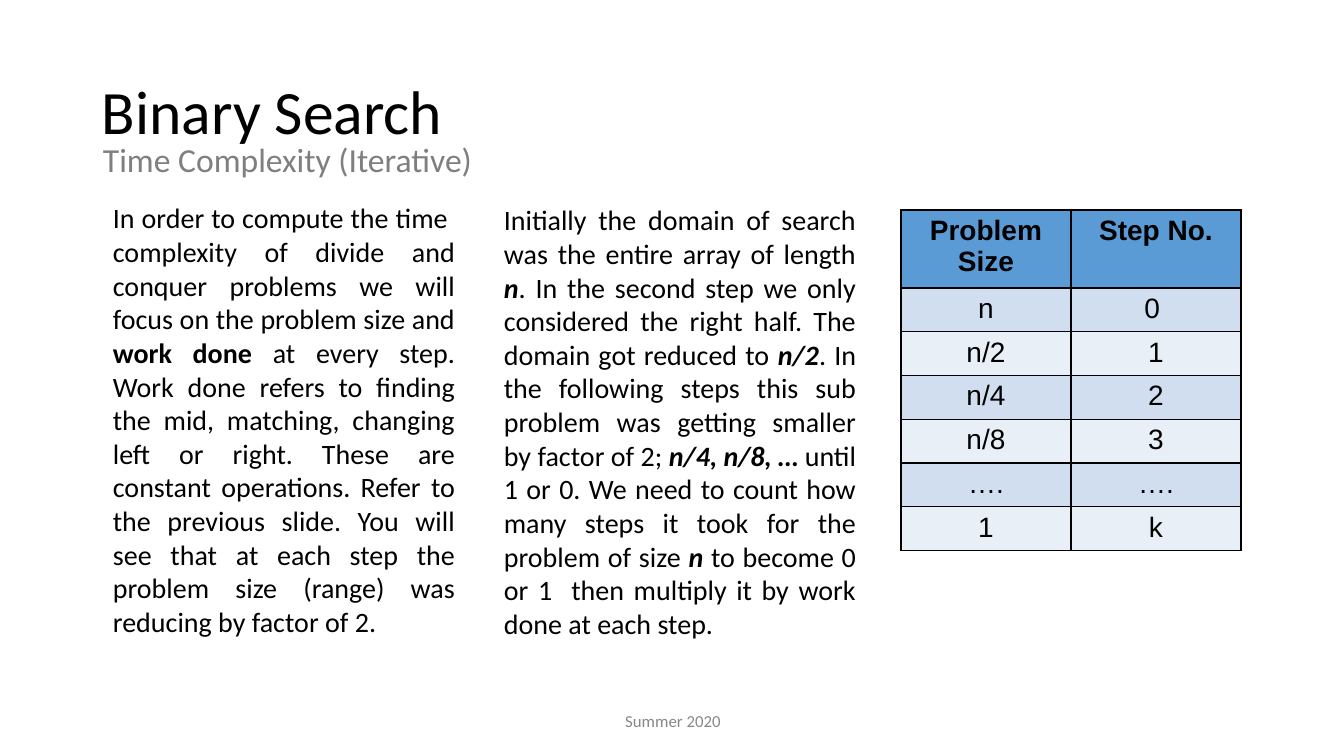
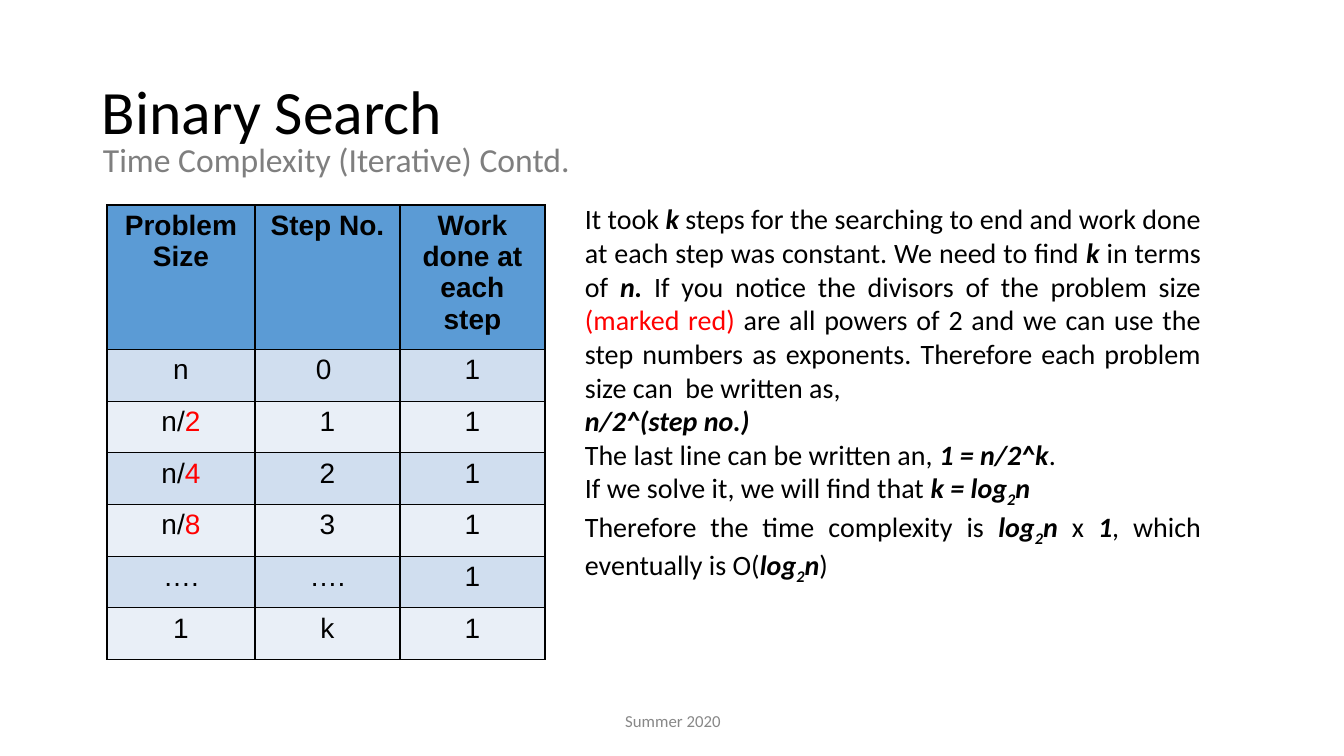
"""Build two slides on the time complexity of iterative binary search."""
from dataclasses import dataclass

from lxml import etree
from pptx import Presentation
from pptx import util as u
from pptx.dml.color import RGBColor
from pptx.enum import text
from pptx.oxml import ns


@dataclass(frozen=True)
class Theme:
    body_font: str = "Calibri"
    table_font: str = "Arial"
    ink: str = "000000"
    subtitle: str = "7F7F7F"
    footer: str = "888888"
    red: str = "FF0000"
    header: str = "5B9BD5"
    bands: tuple = ("D0DEEF", "E9EFF7")
    title_size: int = 44
    subtitle_size: int = 24
    body_size: int = 20
    footer_size: int = 12
    border: int = 1


T = Theme()
W, H = 1344, 756
PX = 914400 / 100.8

STYLES = {
    "bold": {"bold": True},
    "term": {"bold": True, "italic": True},
    "sub": {"bold": True, "italic": True, "baseline": -25000},
    "red": {"color": T.red},
}

TITLE = "Binary Search"
FOOTER = "Summer 2020"
LOG_N = [("log", "term"), ("2", "sub"), ("n", "term")]

WORK_DONE = [[
    "In order to compute the time  complexity of divide and conquer problems we will focus on "
    "the problem size and ",
    ("work done ", "bold"),
    "at every step. Work done refers to finding the mid, matching, changing left or right. "
    "These are constant operations. Refer to the previous slide. You will see that at each step "
    "the problem size (range) was reducing by factor of 2. ",
]]

DOMAIN = [[
    "Initially the domain of search was the entire array of length ",
    ("n", "term"),
    ". In the second step we only considered the right half. The domain got reduced to ",
    ("n/2", "term"),
    ". In the following steps this sub problem was getting smaller by factor of 2; ",
    ("n/4, n/8, … ", "term"),
    "until 1 or 0. We need to count how many steps it took for the problem of size ",
    ("n", "term"),
    " to become 0 or 1  then multiply it by work done at each step.",
]]

SOLUTION = [
    [
        "It took ", ("k", "term"),
        " steps for the searching to end and work done at each step was constant. "
        "We need to find ",
        ("k", "term"), " in terms of ", ("n. ", "term"),
        "If you notice the divisors of the problem size ",
        ("(marked red)", "red"),
        " are all powers of 2 and we can use the step numbers as exponents. "
        "Therefore each problem size can  be written as, ",
    ],
    [("n/2^(step no.)", "term")],
    ["The last line can be written an, ", ("1 = n/2^k", "term"), "."],
    ["If we solve it, we will find that ", ("k = ", "term"), *LOG_N],
    ["Therefore the time complexity is ", *LOG_N, " x ", ("1", "term"),
     ", which eventually is O(", *LOG_N, ")"],
]

STEPS = [
    ["Problem Size", "Step No."],
    ["n", "0 "],
    ["n/2", "1"],
    ["n/4", "2"],
    ["n/8", "3"],
    ["….", "…."],
    ["1", "k"],
]


def mark_divisor(size):
    """Return the runs of a problem size with its divisor in red."""
    head, slash, divisor = size.partition("/")
    return [head + slash, (divisor, "red")] if slash else size


WORK = [STEPS[0] + ["Work done at each step"]]
WORK += [[mark_divisor(size), step, "1"] for size, step in STEPS[1:]]

SLIDES = [
    {
        "subtitle": "Time Complexity (Iterative)",
        "texts": [((103, 196, 362, 452), WORK_DONE), ((494, 198, 372, 452), DOMAIN)],
        "table": {"at": (901, 210), "cols": (170, 170), "header": 78, "height": 340,
                  "rows": STEPS},
    },
    {
        "subtitle": "Time Complexity (Iterative) Contd.",
        "texts": [((575, 197, 636, 427), SOLUTION)],
        "table": {"at": (107, 205), "cols": (148, 145, 145), "header": 134, "height": 444,
                  "rows": WORK},
    },
]


def px(n):
    """Turn px into EMU."""
    return u.Emu(round(n * PX))


def write(tf, paragraphs, size=T.body_size, font=T.body_font, color=T.ink, bold=False,
          align=text.PP_ALIGN.LEFT, spacing=None):
    """Fill a text frame with formatted paragraphs."""
    tf.word_wrap = True
    for i, runs in enumerate(paragraphs):
        p = tf.add_paragraph() if i else tf.paragraphs[0]
        p.alignment = align
        p.line_spacing = spacing
        for run in [runs] if isinstance(runs, str) else runs:
            words, style = (run, None) if isinstance(run, str) else run
            look = STYLES.get(style, {})
            r = p.add_run()
            r.text = words
            r.font.name = font
            r.font.size = u.Pt(size)
            r.font.bold = look.get("bold", bold)
            r.font.italic = look.get("italic", False)
            r.font.color.rgb = RGBColor.from_string(look.get("color", color))
            if "baseline" in look:
                r._r.get_or_add_rPr().set("baseline", str(look["baseline"]))


def add_text(s, box, paragraphs, **fmt):
    """Add a text box and return its text frame."""
    tf = s.shapes.add_textbox(*map(px, box)).text_frame
    write(tf, paragraphs, **fmt)
    return tf


def add_borders(cell):
    """Draw a solid line on each side of a cell."""
    tc_pr = cell._tc.get_or_add_tcPr()
    for i, side in enumerate(("lnL", "lnR", "lnT", "lnB")):
        ln = etree.Element(ns.qn(f"a:{side}"), w=str(u.Pt(T.border)))
        fill = etree.SubElement(ln, ns.qn("a:solidFill"))
        etree.SubElement(fill, ns.qn("a:srgbClr"), val=T.ink)
        tc_pr.insert(i, ln)


def add_grid(s, at, cols, header, height, rows):
    """Add a banded table whose body rows share the height below the header."""
    x, y = at
    table = s.shapes.add_table(len(rows), len(cols), px(x), px(y), px(sum(cols)),
                               px(height)).table
    table.horz_banding = False
    for column, width in zip(table.columns, cols):
        column.width = px(width)
    body = (height - header) / (len(rows) - 1)
    for i, row in enumerate(rows):
        table.rows[i].height = px(body if i else header)
        for j, content in enumerate(row):
            cell = table.cell(i, j)
            cell.fill.solid()
            band = T.bands[(i - 1) % 2] if i else T.header
            cell.fill.fore_color.rgb = RGBColor.from_string(band)
            add_borders(cell)
            write(cell.text_frame, [content], font=T.table_font, bold=not i,
                  align=text.PP_ALIGN.CENTER)


def add_frame(s, subtitle):
    """Add the footer, title and subtitle that each slide carries."""
    tf = add_text(s, (446, 701, 454, 40), [FOOTER], size=T.footer_size, color=T.footer,
                  align=text.PP_ALIGN.CENTER)
    tf.vertical_anchor = text.MSO_ANCHOR.MIDDLE
    add_text(s, (92, 76, 555, 88), [TITLE], size=T.title_size, spacing=0.9)
    add_text(s, (93, 139, 505, 62), [subtitle], size=T.subtitle_size, color=T.subtitle,
             spacing=0.9)


def main():
    """Build and save the presentation."""
    prs = Presentation()
    prs.slide_width, prs.slide_height = px(W), px(H)
    for page in SLIDES:
        s = prs.slides.add_slide(prs.slide_layouts[6])
        add_frame(s, page["subtitle"])
        for box, paragraphs in page["texts"]:
            tf = add_text(s, box, paragraphs, align=text.PP_ALIGN.JUSTIFY)
            tf.auto_size = text.MSO_AUTO_SIZE.SHAPE_TO_FIT_TEXT
        add_grid(s, **page["table"])
    prs.save("out.pptx")


if __name__ == "__main__":
    main()
